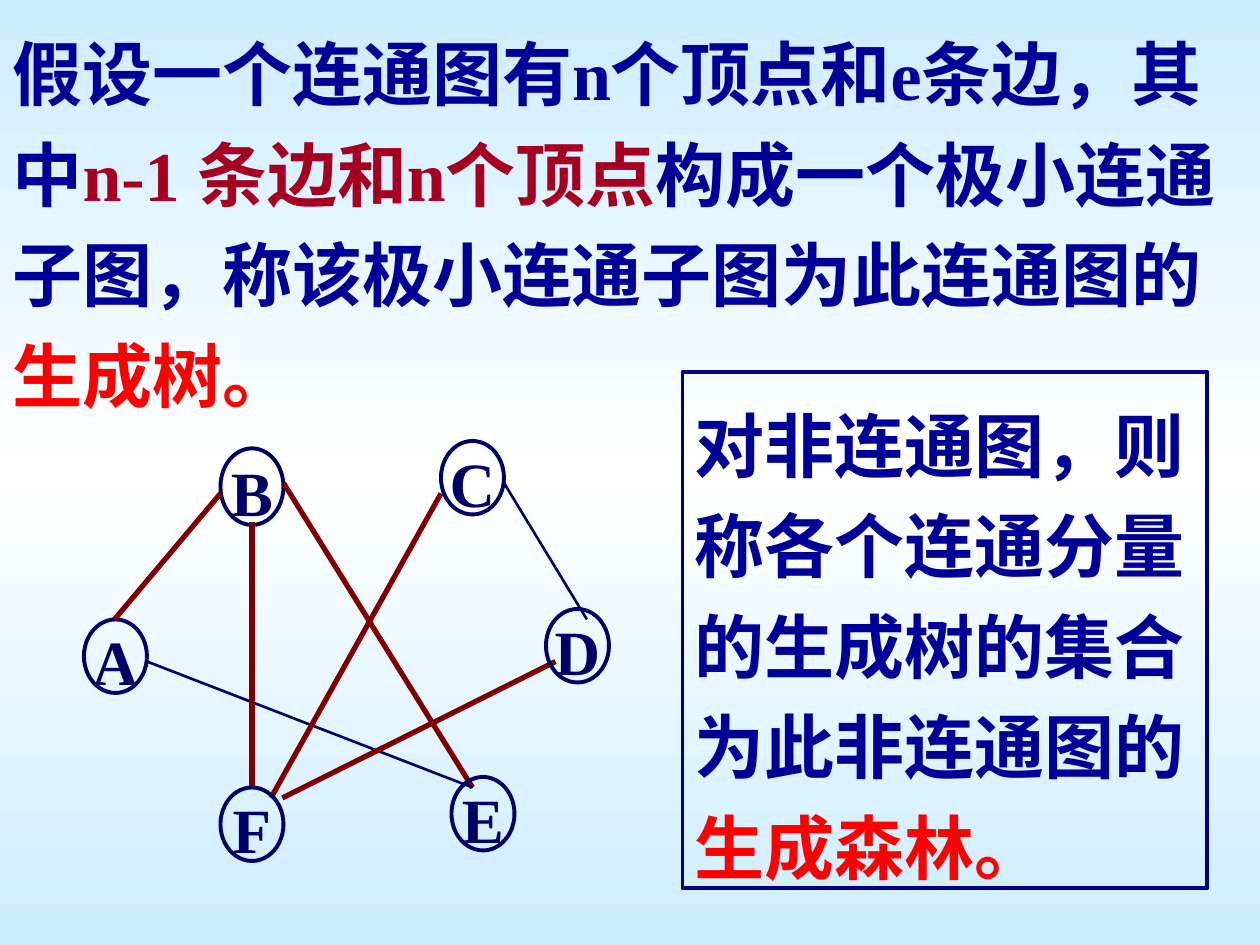
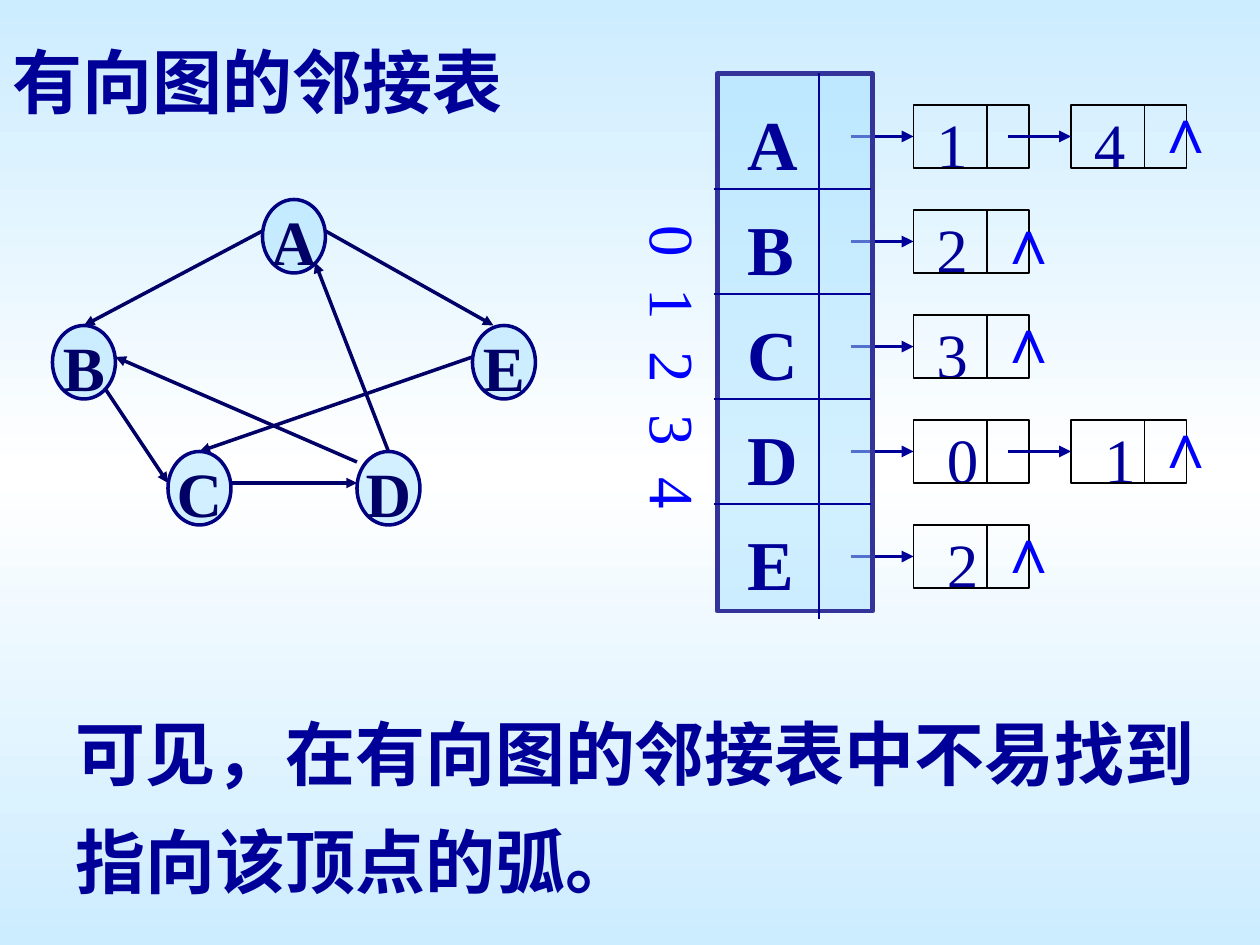
from copy import deepcopy

from lxml.etree import SubElement
from pptx import Presentation
from pptx.dml.color import RGBColor
from pptx.enum.shapes import MSO_CONNECTOR, MSO_SHAPE
from pptx.enum.text import MSO_ANCHOR, MSO_AUTO_SIZE, PP_ALIGN
from pptx.oxml.ns import qn
from pptx.util import Inches, Pt

COLORS = {
    "sky": "CCECFF", "white": "FFFFFF", "ice": "A7E2FF",
    "text": "000099", "node": "000066", "frame": "000080", "table": "333399",
    "index": "0000FF", "crimson": "A50021", "red": "FF0000",
    "tree": "800000", "black": "000000",
}
LATIN, ASIAN = "Times New Roman", "Noto Sans CJK SC"
CHINESE_TOP = 0.11  # top inset that seats fixed-pitch Chinese lines


def grid(units):
    """The slide is 120 columns by 90 rows of one twelfth of an inch."""
    return Inches(units / 12)


def rgb(name):
    return RGBColor.from_string(COLORS[name])


def write(shape, paragraphs, size=40, bold=True, color="text", font=LATIN,
          pitch=None, align=PP_ALIGN.LEFT, anchor=MSO_ANCHOR.TOP, wrap=True,
          inset=0.05, indent=0, tabs=()):
    """Fill a shape; each paragraph is a list of (text, colour or None)."""
    frame = shape.text_frame
    frame.auto_size = MSO_AUTO_SIZE.NONE
    frame.word_wrap = wrap
    frame.vertical_anchor = anchor
    frame.margin_left = frame.margin_right = Inches(0.1)
    frame.margin_top, frame.margin_bottom = Inches(inset), Inches(0.05)
    for number, runs in enumerate(paragraphs):
        paragraph = frame.add_paragraph() if number else frame.paragraphs[0]
        properties = paragraph._p.get_or_add_pPr()
        properties.set("marL", str(Inches(indent)))
        properties.set("indent", "0")
        SubElement(properties, qn("a:buNone"))
        if tabs:
            stops = SubElement(properties, qn("a:tabLst"))
            for position in tabs:
                SubElement(stops, qn("a:tab"), pos=str(Inches(position)), algn="l")
        paragraph.alignment = align
        paragraph.space_before = Pt(0)
        if pitch:
            paragraph.line_spacing = Pt(pitch)
        for text, run_color in runs:
            run = paragraph.add_run()
            run.text = text
            run.font.size, run.font.bold, run.font.name = Pt(size), bold, font
            run.font.color.rgb = rgb(run_color or color)
            SubElement(run._r.get_or_add_rPr(), qn("a:ea"), typeface=ASIAN)


def place(shape, left, top, width, height):
    shape.left, shape.top = grid(left), grid(top)
    shape.width, shape.height = grid(width), grid(height)
    return shape


def label(slide, text, left, top, width, height, **style):
    box = slide.shapes.add_textbox(*map(grid, (left, top, width, height)))
    write(box, [[(text, None)]], size=36, bold=False, **style)
    return box


def outline(slide, kind, left, top, width, height, color, weight, tint=None):
    shape = slide.shapes.add_shape(kind, *map(grid, (left, top, width, height)))
    shape.shadow.inherit = False
    shape.line.color.rgb = rgb(color)
    shape.line.width = Pt(weight)
    if tint:
        shape.fill.solid()
        shape.fill.fore_color.rgb = rgb(tint)
        fill_color = shape._element.spPr.find(qn("a:solidFill"))[0]
        SubElement(fill_color, qn("a:alpha"), val="50000")
    else:
        shape.fill.background()
    return shape


def line(slide, start, end, color, weight, arrow=False):
    connector = slide.shapes.add_connector(
        MSO_CONNECTOR.STRAIGHT, *map(grid, (*start, *end)))
    connector.line.color.rgb = rgb(color)
    connector.line.width = Pt(weight)
    if arrow:
        SubElement(connector.line._get_or_add_ln(), qn("a:tailEnd"), type="triangle")
    SubElement(connector._element.spPr, qn("a:effectLst"))
    return connector


def vertex(slide, name, left, top, height=7, color="node", weight=2.25, tint=None):
    circle = outline(slide, MSO_SHAPE.OVAL, left, top, 6, height, color, weight, tint)
    write(circle, [[(name, None)]], size=36, color="node", align=PP_ALIGN.CENTER,
          anchor=MSO_ANCHOR.MIDDLE, wrap=False, inset=0.12)


def list_node(slide, value, left, top, shift, last, wedge_drop=0):
    """One linked-list cell: incoming arrow, value, pointer field."""
    label(slide, value, left + 1 + shift, top - 0.5, 6, 8.4)
    cell = outline(slide, MSO_SHAPE.RECTANGLE, left, top, 11, 6, "black", 1)
    line(slide, (left + 7, top), (left + 7, top + 6), "black", 1)
    pointer = line(slide, (left - 6, top + 3), (left, top + 3), "text", 2.25, True)
    pointer.end_connect(cell, 1)
    if last:
        label(slide, "∧", left + 6.8, top - 2 + wedge_drop, 9, 8.4,
              color="index", font="Arial")


def paint_background(master):
    fill = master.background.fill
    fill.gradient()
    fill.gradient_angle = 270
    stops = master._element.xpath(".//p:bg//a:gsLst")[0]
    template = deepcopy(stops[0])
    for stop in list(stops):
        stops.remove(stop)
    for position, name in ((0, "sky"), (50, "white"), (100, "sky")):
        stop = deepcopy(template)
        stop.set("pos", str(position * 1000))
        for old_color in list(stop):
            stop.remove(old_color)
        SubElement(stop, qn("a:srgbClr"), val=COLORS[name])
        stops.append(stop)


def spanning_tree_slide(prs):
    slide = prs.slides.add_slide(prs.slide_layouts[1])
    heading, definition = slide.placeholders
    heading._element.getparent().remove(heading._element)
    write(place(definition, 0, 0, 120, 39.6), [[
        ("假设一个连通图有", None), ("n", None), ("个顶点和", None), ("e", None),
        ("条边，其中", None), ("n-1 ", "crimson"), ("条边和", "crimson"),
        ("n", "crimson"), ("个顶点", "crimson"),
        ("构成一个极小连通子图，称该极小连通子图为此连通图的", None),
        ("生成树。", "red")]], pitch=57.5, inset=CHINESE_TOP)

    forest = outline(slide, MSO_SHAPE.RECTANGLE, 65, 35.4, 50, 49.2, "frame", 2.25)
    write(forest, [[
        ("对非连通图，则称各个连通分量的生成树的集合为此非连通图的", None),
        ("生成森林。", "red")]], pitch=57.5, inset=CHINESE_TOP)

    vertex(slide, "B", 21, 42.7, height=7.3)
    vertex(slide, "A", 8, 59)
    tree, other = ("tree", 3), ("node", 1.5)
    for start, end, style in (
            ((21, 47), (10.9, 59), tree), ((27, 46), (45, 75), tree),
            ((14, 63), (45, 75), other), ((42, 47), (25.8, 76), tree),
            ((48, 46), (55.9, 59), other), ((52.9, 63), (26.9, 76), tree),
            ((24, 49.7), (24, 75), tree)):
        line(slide, start, end, *style)
    for name, left, top in (("C", 42, 42), ("D", 52, 58), ("F", 21, 75), ("E", 43, 74)):
        vertex(slide, name, left, top)


def vertex_table(slide):
    names = "ABCDE"
    table = outline(slide, MSO_SHAPE.RECTANGLE, 68.3, 7, 14.8, 51.2,
                    "table", 2.75, "ice")
    write(table, [[(name, None)] for name in names], pitch=60, indent=0.14)
    line(slide, (78, 7), (78, 59), "text", 1)
    for row in range(1, len(names)):
        y = 8 + 10 * row
        line(slide, (68, y), (83, y), "text", 1)


def adjacency_list_slide(prs):
    slide = prs.slides.add_slide(prs.slide_layouts[1])
    heading, conclusion = slide.placeholders
    write(place(heading, 0, 0, 120, 11.6), [[("有向图的邻接表", None)]],
          pitch=62, inset=CHINESE_TOP)
    write(place(conclusion, 6, 64, 111, 22),
          [[("可见，在有向图的邻接表中不易找到指向该顶点的弧。", None)]],
          pitch=62, inset=CHINESE_TOP)

    indices = label(slide, "0\t1\t2\t3\t4", 59.5, 20.3, 9.6, 33, color="index",
                    anchor=MSO_ANCHOR.MIDDLE, inset=0.1,
                    tabs=[0.62 + 0.5 * step for step in range(4)])
    indices.text_frame._txBody.bodyPr.set("vert", "eaVert")

    # values of each row, sideways shift of the digits, drop of the end mark
    rows = (("14", 0, 0), ("2", 0, 0.6), ("3", 0, 0), ("01", 1, 0), ("2", 1, 0))
    for row, (values, shift, drop) in enumerate(rows):
        for column, value in enumerate(values):
            list_node(slide, value, 87 + 15 * column, 10 + 10 * row, shift,
                      column == len(values) - 1, drop)
    vertex_table(slide)

    for start, end in (
            ((25, 22), (8, 31)), ((10, 37), (16, 46)), ((22, 46), (34, 46)),
            ((37, 43), (30, 25)), ((31, 22), (47, 31)), ((34, 44), (11, 34)),
            ((45, 34), (19, 43))):
        line(slide, start, end, "node", 2, arrow=True)
    for name, left, top in (("A", 25, 19), ("B", 5, 31), ("E", 45, 31),
                            ("C", 16, 43), ("D", 34, 43)):
        vertex(slide, name, left, top, color="frame", weight=2, tint="ice")


def main():
    prs = Presentation()
    prs.slide_width, prs.slide_height = grid(120), grid(90)
    paint_background(prs.slide_master)
    spanning_tree_slide(prs)
    adjacency_list_slide(prs)
    prs.save("out.pptx")


if __name__ == "__main__":
    main()
